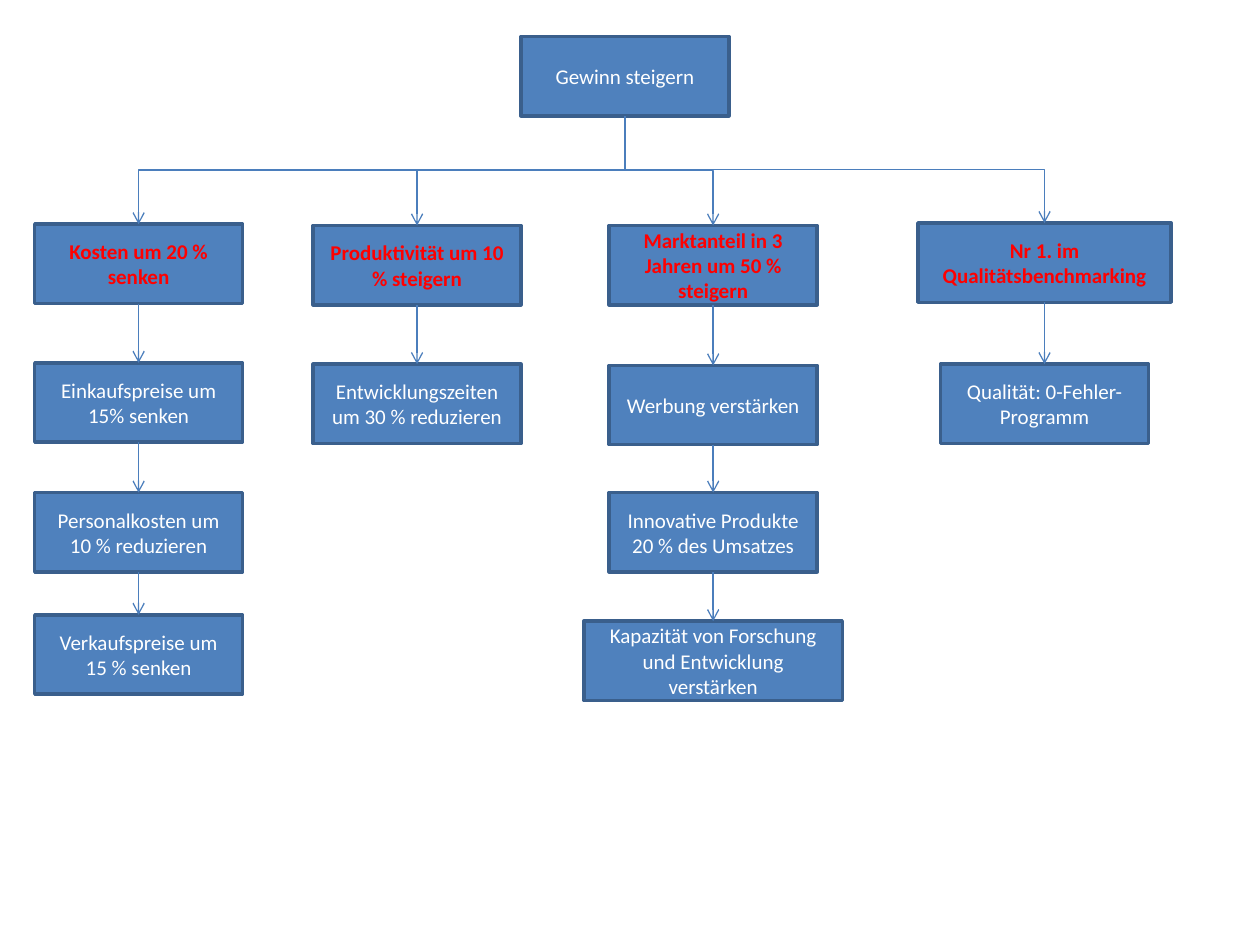
"""Build a goal tree that breaks a profit target down into measures."""
from dataclasses import dataclass

from lxml import etree
from pptx import Presentation
from pptx import util as u
from pptx.dml.color import RGBColor
from pptx.enum import shapes, text
from pptx.oxml import ns

BOX_HEIGHT = 0.63
BOX_WIDTH = 1.65
BOX_FILL, BOX_LINE, ARROW_LINE = "4F81BD", "3A5F8C", "4B7EBC"
MEASURE_COLOR, GOAL_COLOR = "FFFFFF", "FF0000"


@dataclass(frozen=True)
class Box:
    label: str
    top: float
    width: float = BOX_WIDTH


@dataclass(frozen=True)
class Branch:
    center: float
    goal: Box
    measures: tuple[Box, ...]


ROOT_CENTER = 4.96
ROOT = Box("Gewinn steigern", 0.29)
BRANCHES = (
    Branch(1.1, Box("Kosten um 20 % senken", 1.78), (
        Box("Einkaufspreise um 15% senken", 2.88),
        Box("Personalkosten um 10 % reduzieren", 3.91),
        Box("Verkaufspreise um 15 % senken", 4.88),
    )),
    Branch(3.31, Box("Produktivität um 10 % steigern", 1.79), (
        Box("Entwicklungszeiten um 30 % reduzieren", 2.89),
    )),
    Branch(5.66, Box("Marktanteil in 3 Jahren um 50 % steigern", 1.79), (
        Box("Werbung verstärken", 2.9),
        Box("Innovative Produkte 20 % des Umsatzes", 3.91),
        Box("Kapazität von Forschung und Entwicklung verstärken", 4.93, 2.05),
    )),
    Branch(8.29, Box("Nr 1. im Qualitätsbenchmarking", 1.77, 2.01), (
        Box("Qualität: 0-Fehler-Programm", 2.89),
    )),
)


def color(hex_code: str) -> RGBColor:
    return RGBColor.from_string(hex_code)


def draw_box(slide, box: Box, center: float, is_goal: bool = False):
    shape = slide.shapes.add_shape(
        shapes.MSO_SHAPE.RECTANGLE, u.Inches(center - box.width / 2),
        u.Inches(box.top), u.Inches(box.width), u.Inches(BOX_HEIGHT))
    shape.shadow.inherit = False
    shape.fill.solid()
    shape.fill.fore_color.rgb = color(BOX_FILL)
    shape.line.color.rgb = color(BOX_LINE)
    shape.line.width = u.Pt(2)
    frame = shape.text_frame
    frame.word_wrap = True
    frame.vertical_anchor = text.MSO_ANCHOR.MIDDLE
    paragraph = frame.paragraphs[0]
    paragraph.alignment = text.PP_ALIGN.CENTER
    run = paragraph.add_run()
    run.text = box.label
    run.font.name = "Calibri"
    run.font.size = u.Pt(12)
    run.font.bold = is_goal
    run.font.color.rgb = color(GOAL_COLOR if is_goal else MEASURE_COLOR)
    return shape


def draw_arrow(slide, parent, child, kind=shapes.MSO_CONNECTOR.STRAIGHT):
    arrow = slide.shapes.add_connector(kind, 0, 0, 0, 0)
    arrow.begin_connect(parent, 2)
    arrow.end_connect(child, 0)
    arrow.line.color.rgb = color(ARROW_LINE)
    arrow.line.width = u.Pt(0.75)
    etree.SubElement(arrow.line._get_or_add_ln(), ns.qn("a:tailEnd"), type="arrow")
    etree.SubElement(arrow._element.spPr, ns.qn("a:effectLst"))
    return arrow


def draw_elbow(slide, parent, child) -> None:
    """Draw a bent arrow that leaves downwards, as a quarter-turned connector."""
    arrow = draw_arrow(slide, parent, child, shapes.MSO_CONNECTOR.ELBOW)
    start_x, end_x = (box.left + box.width // 2 for box in (parent, child))
    start_y, end_y = parent.top + parent.height, child.top
    drop, reach = end_y - start_y, abs(end_x - start_x)
    arrow.left = (start_x + end_x - drop) // 2
    arrow.top = (start_y + end_y - reach) // 2
    arrow.width, arrow.height = drop, reach
    goes_right = end_x > start_x
    turn = arrow._element.spPr.find(ns.qn("a:xfrm"))
    turn.set("rot", str((270 if goes_right else 90) * 60000))
    turn.set("flipH", "1" if goes_right else "0")


def main() -> None:
    deck = Presentation()
    deck.slide_width, deck.slide_height = u.Inches(10), u.Inches(7.5)
    slide = deck.slides.add_slide(deck.slide_layouts[6])
    root = draw_box(slide, ROOT, ROOT_CENTER)
    for branch in BRANCHES:
        parent = draw_box(slide, branch.goal, branch.center, is_goal=True)
        draw_elbow(slide, root, parent)
        for measure in branch.measures:
            child = draw_box(slide, measure, branch.center)
            draw_arrow(slide, parent, child)
            parent = child
    deck.save("out.pptx")


if __name__ == "__main__":
    main()
